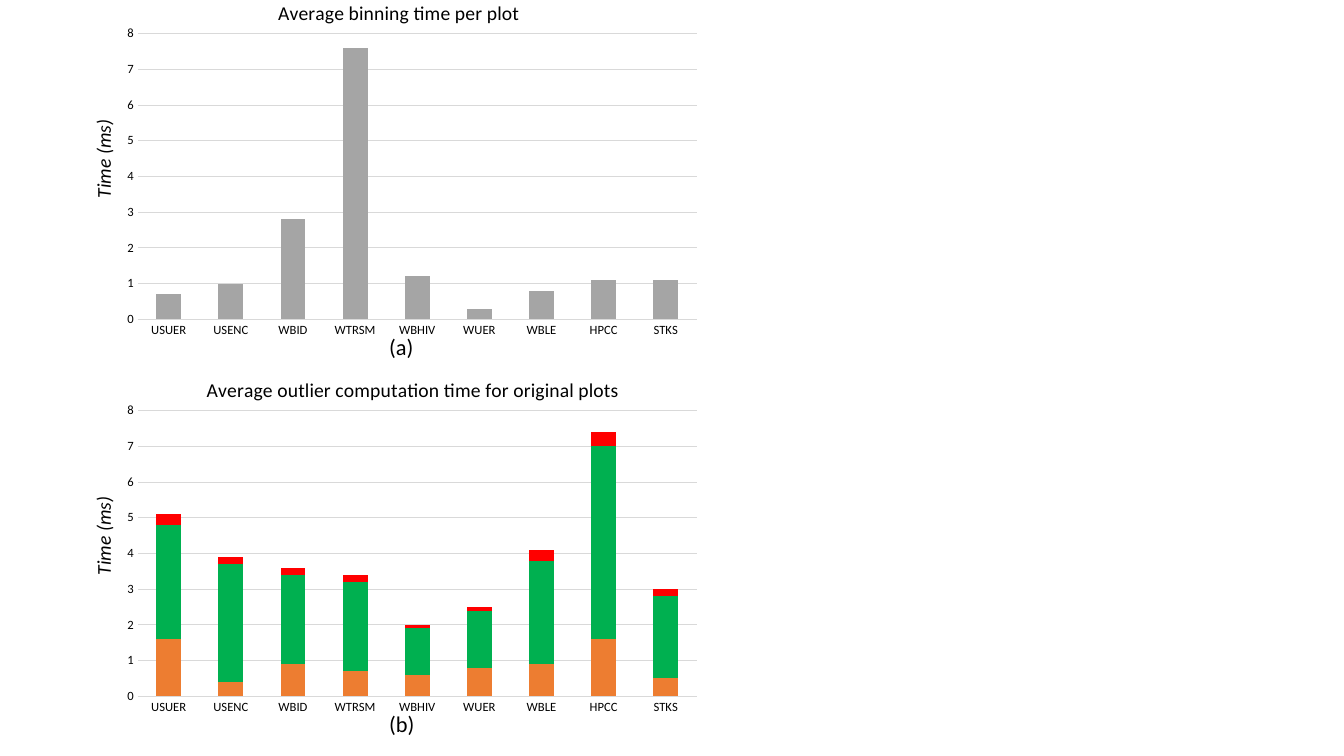
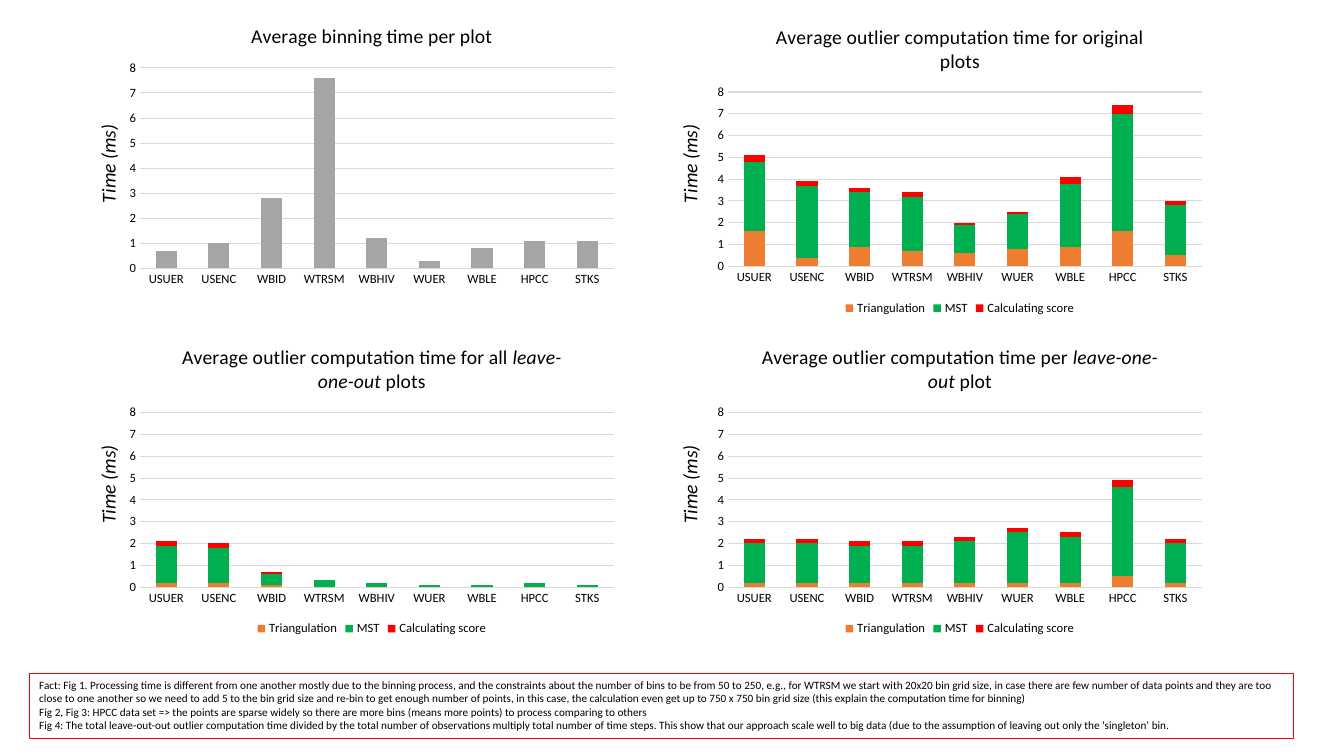
import pptx
import pptx.chart.data
import pptx.dml.color
import pptx.enum.chart
import pptx.enum.shapes
import pptx.enum.text
import pptx.oxml
import pptx.oxml.ns
import pptx.util

Cm = pptx.util.Cm
Pt = pptx.util.Pt
RGBColor = pptx.dml.color.RGBColor

# Shared style
FONT = "Calibri"
BLACK = RGBColor(0x00, 0x00, 0x00)
GRID_GRAY = RGBColor(0xD9, 0xD9, 0xD9)
BIN_GRAY = RGBColor(0xA5, 0xA5, 0xA5)
ORANGE = RGBColor(0xED, 0x7D, 0x31)
GREEN = RGBColor(0x00, 0xB0, 0x50)
RED = RGBColor(0xFF, 0x00, 0x00)

# Measured times in ms, by data set
DATA_SETS = ["USUER", "USENC", "WBID", "WTRSM", "WBHIV", "WUER", "WBLE", "HPCC", "STKS"]
STAGES = [("Triangulation", ORANGE), ("MST", GREEN), ("Calculating score", RED)]


def staged(*timings):
    return [(name, color, values) for (name, color), values in zip(STAGES, timings)]


BINNING = [("Binning", BIN_GRAY, [0.7, 1, 2.8, 7.6, 1.2, 0.3, 0.8, 1.1, 1.1])]
ORIGINAL = staged(
    [1.6, 0.4, 0.9, 0.7, 0.6, 0.8, 0.9, 1.6, 0.5],
    [3.2, 3.3, 2.5, 2.5, 1.3, 1.6, 2.9, 5.4, 2.3],
    [0.3, 0.2, 0.2, 0.2, 0.1, 0.1, 0.3, 0.4, 0.2])
ALL_LEAVE_OUT = staged(
    [0.2, 0.2, 0.1, 0, 0, 0, 0, 0, 0],
    [1.7, 1.6, 0.5, 0.3, 0.2, 0.1, 0.1, 0.2, 0.1],
    [0.2, 0.2, 0.1, 0, 0, 0, 0, 0, 0])
PER_LEAVE_OUT = staged(
    [0.2, 0.2, 0.2, 0.2, 0.2, 0.2, 0.2, 0.5, 0.2],
    [1.8, 1.8, 1.7, 1.7, 1.9, 2.3, 2.1, 4.1, 1.8],
    [0.2, 0.2, 0.2, 0.2, 0.2, 0.2, 0.2, 0.3, 0.2])

# Titles as (text, italic) runs
BINNING_TITLE = [("Average binning time per plot", False)]
ORIGINAL_TITLE = [("Average outlier computation time for original plots", False)]
ALL_TITLE = [("Average outlier computation time for all ", False),
             ("leave-one-out", True), (" plots", False)]
PER_TITLE = [("Average outlier computation time per ", False),
             ("leave-one-out", True), (" plot", False)]

FACTS = [
    "Fact: Fig 1. Processing time is different from one another mostly due to the binning "
    "process, and the constraints about the number of bins to be from 50 to 250, e.g., for "
    "WTRSM we start with 20x20 bin grid size, in case there are few number of data points and "
    "they are too close to one another so we need to add 5 to the bin grid size and re-bin to "
    "get enough number of points, in this case, the calculation even get up to 750 x 750 bin "
    "grid size (this explain the computation time for binning)",
    "Fig 2, Fig 3: HPCC data set => the points are sparse widely so there are more bins "
    "(means more points) to process comparing to others",
    "Fig 4: The total leave-out-out outlier computation time divided by the total number of "
    "observations multiply total number of time steps. This show that our approach scale well "
    "to big data (due to the assumption of leaving out only the ‘singleton’ bin.",
]

# Plot areas as fractions of the chart: left, top, width, height
TALL_PLOT = (0.04, 0.17, 0.94, 0.76)
PLAIN_PLOT = (0.04, 0.21, 0.94, 0.7)
LEGEND_PLOT = (0.04, 0.27, 0.94, 0.56)


def style_font(font, size, italic=False):
    font.name = FONT
    font.size = Pt(size)
    font.bold = False
    font.italic = italic
    font.color.rgb = BLACK


def add_run(paragraph, text, size, italic=False):
    run = paragraph.add_run()
    run.text = text
    style_font(run.font, size, italic)


def set_layout(parent, index, fractions, inner=False):
    """Fix the place of a chart part inside its chart."""
    for old in parent.xpath("c:layout"):
        parent.remove(old)
    target = '<c:layoutTarget val="inner"/>' if inner else ""
    modes = "".join(f'<c:{axis}Mode val="edge"/>' for axis in "xy")
    sizes = "".join(f'<c:{key} val="{value}"/>' for key, value in zip("xywh", fractions))
    parent.insert(index, pptx.oxml.parse_xml(
        f'<c:layout {pptx.oxml.ns.nsdecls("c")}><c:manualLayout>'
        f"{target}{modes}{sizes}</c:manualLayout></c:layout>"))


def style_axes(chart):
    times, names = chart.value_axis, chart.category_axis
    for axis in (times, names):
        axis.major_tick_mark = axis.minor_tick_mark = pptx.enum.chart.XL_TICK_MARK.NONE
        style_font(axis.tick_labels.font, 9)
    times.minimum_scale, times.maximum_scale, times.major_unit = 0, 8, 1
    times.tick_labels.number_format = "0"
    times.tick_labels.number_format_is_linked = False
    times.format.line.fill.background()
    times.has_major_gridlines = True
    for line in (times.major_gridlines.format.line, names.format.line):
        line.color.rgb = GRID_GRAY
        line.width = Pt(0.75)


def add_time_chart(slide, box, title, series, plot, title_at=None, legend=False):
    data = pptx.chart.data.CategoryChartData(number_format="0.0")
    data.categories = DATA_SETS
    for name, _, values in series:
        data.add_series(name, values)
    chart = slide.shapes.add_chart(pptx.enum.chart.XL_CHART_TYPE.COLUMN_STACKED,
                                   *map(Cm, box), data).chart
    style_font(chart.font, 10)

    # Title
    chart.has_title = True
    heading = chart.chart_title.text_frame.paragraphs[0]
    for text, italic in title:
        add_run(heading, text, 14, italic)
    chart.chart_title.include_in_layout = False
    if title_at:
        set_layout(chart.element.xpath("c:chart/c:title")[0], 1, title_at)

    # Bars
    bars = chart.plots[0]
    bars.gap_width, bars.overlap, bars.vary_by_categories = 150, 100, False
    for stage, (_, color, _) in zip(bars.series, series):
        stage.format.fill.solid()
        stage.format.fill.fore_color.rgb = color
    style_axes(chart)
    set_layout(chart.element.xpath("c:chart/c:plotArea")[0], 0, plot, inner=True)

    chart.has_legend = legend
    if legend:
        chart.legend.position = pptx.enum.chart.XL_LEGEND_POSITION.BOTTOM
        chart.legend.include_in_layout = False
        style_font(chart.legend.font, 9)


def add_label(slide, box, text, size, italic=False, rotation=0):
    label = slide.shapes.add_textbox(*map(Cm, box))
    label.rotation = rotation
    label.text_frame.word_wrap = False
    label.text_frame.auto_size = pptx.enum.text.MSO_AUTO_SIZE.SHAPE_TO_FIT_TEXT
    add_run(label.text_frame.paragraphs[0], text, size, italic)


def add_time_label(slide, left, top):
    add_label(slide, (left, top, 2.51, 0.86), "Time (ms)", 14, italic=True, rotation=270)


def add_fact_box(slide, box):
    facts = slide.shapes.add_shape(pptx.enum.shapes.MSO_SHAPE.RECTANGLE, *map(Cm, box))
    facts.shadow.inherit = False
    facts.fill.background()
    facts.line.color.rgb = RED
    facts.line.width = Pt(0.75)
    frame = facts.text_frame
    frame.word_wrap = True
    frame.vertical_anchor = pptx.enum.text.MSO_ANCHOR.TOP
    for index, fact in enumerate(FACTS):
        paragraph = frame.add_paragraph() if index else frame.paragraphs[0]
        paragraph.alignment = pptx.enum.text.PP_ALIGN.LEFT
        add_run(paragraph, fact, 8)


def build_stacked_pair(slide):
    figures = [("(a)", -0.76, 8.28, BINNING_TITLE, BINNING, (0.27, 0.07)),
               ("(b)", 8.74, 17.78, ORIGINAL_TITLE, ORIGINAL, (0.15, 0.07))]
    for caption, top, caption_top, title, series, title_at in figures:
        add_time_chart(slide, (2.87, top, 14.99, 9.47), title, series, TALL_PLOT, title_at)
        add_time_label(slide, 1.35, top + 4.32)
        add_label(slide, (9.56, caption_top, 1.15, 0.94), caption, 16)


def build_four_figures(slide):
    columns = [(3.02, 1.47), (17.84, 16.13)]  # chart left, axis label left
    rows = [0.2, 8.28]
    figures = [(BINNING_TITLE, BINNING), (ORIGINAL_TITLE, ORIGINAL),
               (ALL_TITLE, ALL_LEAVE_OUT), (PER_TITLE, PER_LEAVE_OUT)]
    for index, (title, series) in enumerate(figures):
        left, label_left = columns[index % 2]
        top = rows[index // 2]
        legend = len(series) > 1
        add_time_chart(slide, (left, top, 12.7, 7.85 if legend else 7.21), title, series,
                       LEGEND_PLOT if legend else PLAIN_PLOT, legend=legend)
        add_time_label(slide, label_left, top + 3.48)
    add_fact_box(slide, (0.74, 16.97, 31.85, 1.63))


def main():
    deck = pptx.Presentation()
    deck.slide_width, deck.slide_height = Cm(33.87), Cm(19.05)
    for build in (build_stacked_pair, build_four_figures):
        build(deck.slides.add_slide(deck.slide_layouts[6]))
    deck.save("out.pptx")


if __name__ == "__main__":
    main()
